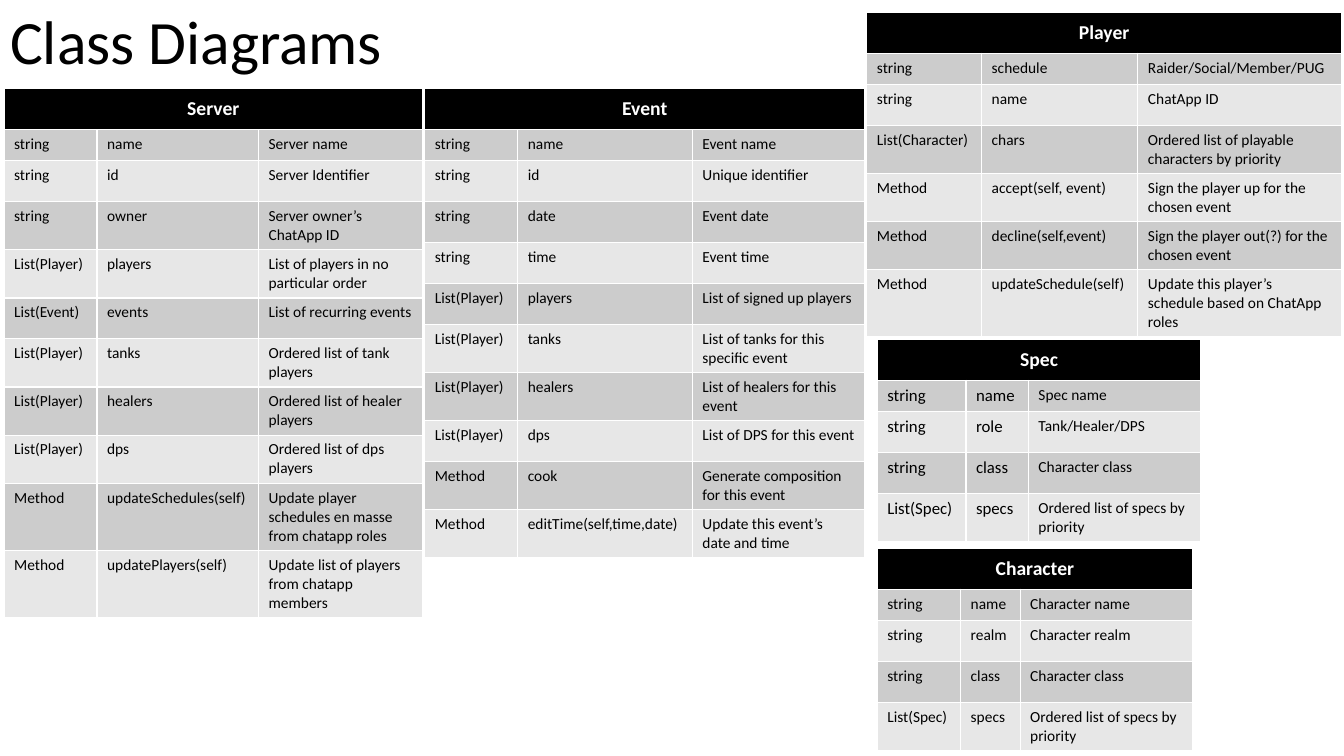
from pptx import Presentation
from pptx import util as u
from pptx.dml.color import RGBColor
from pptx.enum import text

HUES = {"head": "000000", "dark": "CCCCCC", "light": "E7E7E7",
        "ink": "000000", "white": "FFFFFF"}
FONT = "Calibri"
HEAD, FIRST, ROW = 29.2, 22.3, 29.2  # row heights

# Each class: name, left, top, column widths, size of the first two columns, members
CLASSES = [
    ("Player", 619.2, 8.8, (82, 111.6, 145.4), 11, [
        ("string", "schedule", "Raider/Social/Member/PUG"),
        ("string", "name", "ChatApp ID"),
        ("List(Character)", "chars", "Ordered list of playable characters by priority"),
        ("Method", "accept(self, event)", "Sign the player up for the chosen event"),
        ("Method", "decline(self,event)", "Sign the player out(?) for the chosen event"),
        ("Method", "updateSchedule(self)",
         "Update this player’s schedule based on ChatApp roles"),
    ]),
    ("Character", 626.6, 391.7, (59.6, 42.5, 123.2), 11, [
        ("string", "name", "Character name"),
        ("string", "realm", "Character realm"),
        ("string", "class", "Character class"),
        ("List(Spec)", "specs", "Ordered list of specs by priority"),
    ]),
    ("Spec", 626.6, 242.6, (63.4, 44.6, 123.2), 12, [
        ("string", "name", "Spec name"),
        ("string", "role", "Tank/Healer/DPS"),
        ("string", "class", "Character class"),
        ("List(Spec)", "specs", "Ordered list of specs by priority"),
    ]),
    ("Server", 2.9, 63.4, (66.4, 115.4, 117.2), 11, [
        ("string", "name", "Server name"),
        ("string", "id", "Server Identifier"),
        ("string", "owner", "Server owner’s ChatApp ID"),
        ("List(Player)", "players", "List of players in no particular order"),
        ("List(Event)", "events", "List of recurring events"),
        ("List(Player)", "tanks", "Ordered list of tank players"),
        ("List(Player)", "healers", "Ordered list of healer players"),
        ("List(Player)", "dps", "Ordered list of dps players"),
        ("Method", "updateSchedules(self)",
         "Update player schedules en masse from chatapp roles"),
        ("Method", "updatePlayers(self)", "Update list of players from chatapp members"),
    ]),
    ("Event", 303.4, 63.4, (66.4, 124.8, 123.2), 11, [
        ("string", "name", "Event name"),
        ("string", "id", "Unique identifier"),
        ("string", "date", "Event date"),
        ("string", "time", "Event time"),
        ("List(Player)", "players", "List of signed up players"),
        ("List(Player)", "tanks", "List of tanks for this specific event"),
        ("List(Player)", "healers", "List of healers for this event"),
        ("List(Player)", "dps", "List of DPS for this event"),
        ("Method", "cook", "Generate composition for this event"),
        ("Method", "editTime(self,time,date)", "Update this event’s date and time"),
    ]),
]


def write(frame, words, size, hue, bold=False):
    frame.text = words
    font = frame.paragraphs[0].runs[0].font
    font.name, font.size, font.bold = FONT, u.Pt(size), bold
    font.color.rgb = RGBColor.from_string(HUES[hue])


def paint(cell, hue):
    cell.fill.solid()
    cell.fill.fore_color.rgb = RGBColor.from_string(HUES[hue])


def draw(slide, name, left, top, widths, size, members):
    heights = [HEAD, FIRST] + [ROW] * (len(members) - 1)
    box = [u.Pt(v) for v in (left, top, sum(widths), sum(heights))]
    grid = slide.shapes.add_table(len(heights), len(widths), *box).table
    for col, width in zip(grid.columns, widths):
        col.width = u.Pt(width)
    for row, height in zip(grid.rows, heights):
        row.height = u.Pt(height)

    # Header across all columns
    for cell in grid.rows[0].cells:
        paint(cell, "head")
    head = grid.cell(0, 0)
    head.merge(grid.cell(0, len(widths) - 1))
    write(head.text_frame, name, 14, "white", True)
    head.vertical_anchor = text.MSO_ANCHOR.MIDDLE
    head.text_frame.paragraphs[0].alignment = text.PP_ALIGN.CENTER

    # Members in alternating bands
    for r, member in enumerate(members, 1):
        for c, words in enumerate(member):
            cell = grid.cell(r, c)
            paint(cell, "dark" if r % 2 else "light")
            write(cell.text_frame, words, size if c < 2 else 11, "ink")


deck = Presentation()
deck.slide_width, deck.slide_height = u.Pt(960), u.Pt(540)
slide = deck.slides.add_slide(deck.slide_layouts[5])

# Title
title = slide.shapes.title
title.left, title.top, title.width, title.height = map(u.Pt, (0, -20.2, 828, 104.4))
write(title.text_frame, "Class Diagrams", 44, "ink")
title.text_frame.vertical_anchor = text.MSO_ANCHOR.MIDDLE
title.text_frame.paragraphs[0].alignment = text.PP_ALIGN.LEFT
title.text_frame.paragraphs[0].line_spacing = 0.9

# Class tables
for entry in CLASSES:
    draw(slide, *entry)

deck.save("out.pptx")
